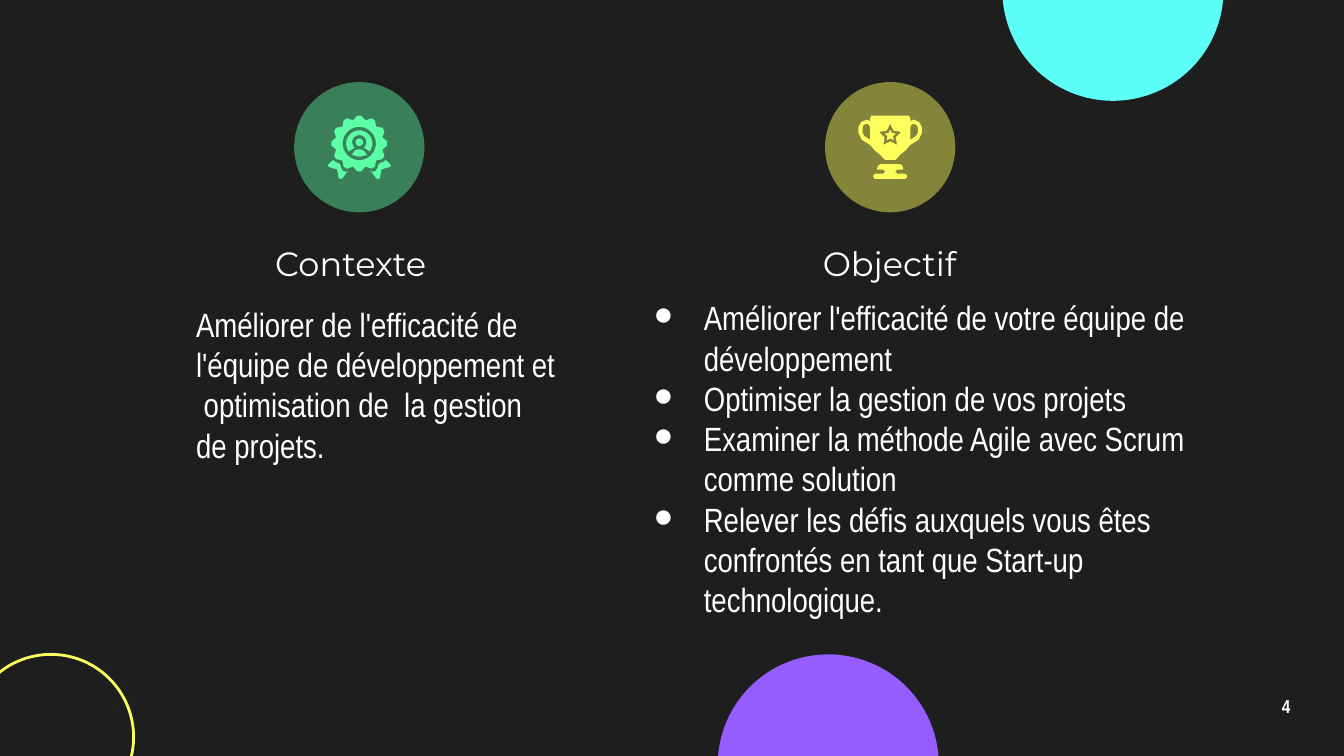
from dataclasses import dataclass
from math import cos, radians, sin

from lxml import etree
from pptx import Presentation
from pptx.dml.color import RGBColor
from pptx.enum import shapes, text
from pptx.oxml import ns
from pptx.util import Pt


@dataclass(frozen=True)
class Theme:
    """Colours, fonts and type sizes of the deck."""
    dark: str = "1E1E1E"
    white: str = "FFFFFF"
    cyan: str = "5CFFF8"
    yellow: str = "FDFF5C"
    purple: str = "955CFF"
    green: str = "5CFFA6"
    heading_font: str = "Montserrat"
    body_font: str = "Arial Narrow"
    main_size: int = 18
    number_size: int = 10


THEME = Theme()
CUP = [(10, -17), (10.8, -15.5), (10.8, -14), (12.6, -14.8), (15.5, -13.5),
       (17, -10.8), (17, -7.6), (15.2, -4), (10.5, -1), (8.5, 1.5), (5.4, 4), (2.8, 6.8)]
HANDLE = [(10.8, -10.4), (11.3, -12), (12.6, -12.6), (14.2, -12), (14.8, -10.4),
          (14.8, -7.6), (13.8, -6), (10.8, -4)]
FOOT = [(5, 9), (6.5, 9.8), (7, 11.5), (7, 12), (3.8, 12), (2.6, 13), (3.8, 14.2),
        (8, 14.2), (9, 15), (9, 16.4), (8, 17)]
RIBBON = [(14, 6.8), (13.3, 7.6), (10.4, 9), (9.7, 11.2), (8.7, 12.8), (6.1, 13.3),
          (6.1, 12.6), (9, 16.6), (9.7, 17), (11, 16.7), (11.9, 11.9), (16.2, 10.6),
          (16.9, 10), (16.5, 9)]


def mirror(points):
    """Reflect points across the vertical axis, in reverse order."""
    return [(-x, y) for x, y in reversed(points)]


def symmetric(half):
    """Close a right-hand half outline with its mirror image."""
    return half + mirror(half)


def arc(x, y, radius, start=0, end=360, steps=36):
    """Return points along an arc, with angles clockwise from the right."""
    angles = [radians(start + (end - start) * i / steps) for i in range(steps + 1)]
    return [(x + radius * cos(a), y + radius * sin(a)) for a in angles]


def star(y, outer, inner):
    """Return a five-pointed star centred on the axis."""
    angles = [radians(36 * i - 90) for i in range(10)]
    radii = [outer, inner] * 5
    return [(r * cos(a), y + r * sin(a)) for r, a in zip(radii, angles)]


def rosette(y, outer, inner):
    """Return a twelve-lobed edge with blunt tips."""
    points = []
    for tip in range(0, 360, 30):
        for turn, radius in ((-4, outer), (4, outer), (15, inner)):
            points += arc(0, y, radius, tip + turn, tip + turn, 1)[:1]
    return points


def trophy_parts():
    """List the trophy's shapes, each as an outline followed by its holes."""
    return [[symmetric(CUP), HANDLE, mirror(HANDLE), star(-6.3, 6.2, 3.2)],
            [symmetric(FOOT)], [star(-6.3, 3.2, 1.6)]]


def medal_parts():
    """List the medal's shapes, each as an outline followed by its holes."""
    collar = arc(0, -2, 7, 143, 397) + arc(0, -2.7, 3.8, 410, 130)
    shoulders = arc(0, 5, 3.9, 180, 360, 18) + arc(0, -2, 7, 55, 125, 12)
    return [[rosette(-2, 15, 12.8), arc(0, -2, 8.9)], [collar],
            [arc(0, -2.7, 2)], [shoulders], [RIBBON], [mirror(RIBBON)]]


def draw_circle(page, box, fill=None, line=None, opacity=100):
    """Draw one filled or outlined circle in the box."""
    circle = page.shapes.add_shape(shapes.MSO_SHAPE.OVAL, *map(Pt, box))
    circle.shadow.inherit = False
    if fill:
        circle.fill.solid()
        circle.fill.fore_color.rgb = RGBColor.from_string(fill)
        if opacity < 100:
            colour = circle.fill._xPr.find(".//" + ns.qn("a:srgbClr"))
            etree.SubElement(colour, ns.qn("a:alpha"), val=str(opacity * 1000))
    else:
        circle.fill.background()
    if line:
        circle.line.color.rgb = RGBColor.from_string(line)
        circle.line.width = Pt(1.5)
    else:
        circle.line.fill.background()


def draw_badge(page, box, parts, colour, opacity):
    """Draw a translucent disc with an icon at its centre."""
    draw_circle(page, box, colour, opacity=opacity)
    left, top, width, height = box
    x, y = left + width / 2, top + height / 2
    for part in parts:
        outlines = [[(Pt(x + dx), Pt(y + dy)) for dx, dy in outline] for outline in part]
        builder = page.shapes.build_freeform(*outlines[0][0])
        builder.add_line_segments(outlines[0][1:])
        for hole in outlines[1:]:
            builder.move_to(*hole[0])
            builder.add_line_segments(hole[1:])
        icon = builder.convert_to_shape()
        icon.shadow.inherit = False
        icon.fill.solid()
        icon.fill.fore_color.rgb = RGBColor.from_string(colour)
        icon.line.fill.background()


def write_text(shape, box, lines, font, size, align=text.PP_ALIGN.LEFT, bold=False):
    """Place a text shape in the box and format its paragraphs."""
    shape.left, shape.top, shape.width, shape.height = map(Pt, box)
    frame = shape.text_frame
    frame.word_wrap = True
    frame.auto_size = text.MSO_AUTO_SIZE.NONE
    frame.vertical_anchor = text.MSO_ANCHOR.MIDDLE
    frame.margin_left = frame.margin_right = frame.margin_top = frame.margin_bottom = Pt(7.2)
    frame.text = "\n".join(lines)
    for para in frame.paragraphs:
        para.alignment = align
        para.space_before = Pt(0)
        for span in para.runs:
            span.font.name, span.font.size, span.font.bold = font, Pt(size), bold
            span.font.color.rgb = RGBColor.from_string(THEME.white)
    return frame


def add_label(page):
    """Add an empty text box to be placed later."""
    return page.shapes.add_textbox(0, 0, Pt(72), Pt(36))


def add_bullets(frame):
    """Give every paragraph a hanging white bullet."""
    for para in frame.paragraphs:
        props = para._p.get_or_add_pPr()
        props.set("marL", str(Pt(36)))
        props.set("indent", str(-Pt(27)))
        colour = etree.SubElement(props, ns.qn("a:buClr"))
        etree.SubElement(colour, ns.qn("a:srgbClr"), val=THEME.white)
        etree.SubElement(props, ns.qn("a:buFont"), typeface=THEME.body_font)
        etree.SubElement(props, ns.qn("a:buChar"), char="●")


def draw_decor(page, box):
    """Draw the circles that bleed off the page edges and the page number."""
    width, height = box[2:]
    draw_circle(page, (width - 183, -64.5, 118.5, 118.5), THEME.cyan)
    draw_circle(page, (-17, height - 54.4, 88.6, 88.6), line=THEME.yellow)
    draw_circle(page, (384.5, height - 54.4, 118.5, 118.5), THEME.purple)
    frame = write_text(add_label(page), (width - 52.6, height - 38, 43.2, 24.8), ["4"],
                       THEME.body_font, THEME.number_size, text.PP_ALIGN.CENTER, True)
    frame.paragraphs[0].line_spacing = 0.8


def draw_topic(page, box, heading, title, lines, badge, icon):
    """Draw a badge, a heading and a body that fills the box."""
    draw_badge(page, badge, *icon)
    write_text(heading, (box[0], 123.1, 172.8, 36) if heading.is_placeholder
               else (390.2, 123.1, 172.8, 36), [title],
               THEME.heading_font, THEME.main_size, text.PP_ALIGN.CENTER)
    return write_text(add_label(page), box, lines, THEME.body_font, THEME.main_size)


def build_page(deck):
    """Build the slide on context and goal."""
    page = deck.slides.add_slide(deck.slide_layouts[5])
    page.background.fill.solid()
    page.background.fill.fore_color.rgb = RGBColor.from_string(THEME.dark)
    draw_decor(page, (0, 0, 720, 405))
    heading = page.shapes.title
    draw_topic(page, (98, 148.3, 208.8, 115.2), heading, "Contexte",
               ["Améliorer de l'efficacité de l'équipe de développement et "
                " optimisation de  la gestion de projets."],
               (157.6, 44, 69.8, 69.8), (medal_parts(), THEME.green, 44))
    heading.left = Pt(101.5)
    goals = draw_topic(page, (334, 152, 340, 187.2), add_label(page), "Objectif",
                       ["Améliorer l'efficacité de votre équipe de développement",
                        "Optimiser la gestion de vos projets",
                        "Examiner la méthode Agile avec Scrum comme solution",
                        "Relever les défis auxquels vous êtes confrontés en tant que "
                        "Start-up technologique."],
                       (442, 44, 69.8, 69.8), (trophy_parts(), THEME.yellow, 46))
    add_bullets(goals)


def main():
    """Create the deck and save it."""
    deck = Presentation()
    deck.slide_width, deck.slide_height = Pt(720), Pt(405)
    build_page(deck)
    deck.save("out.pptx")


if __name__ == "__main__":
    main()
